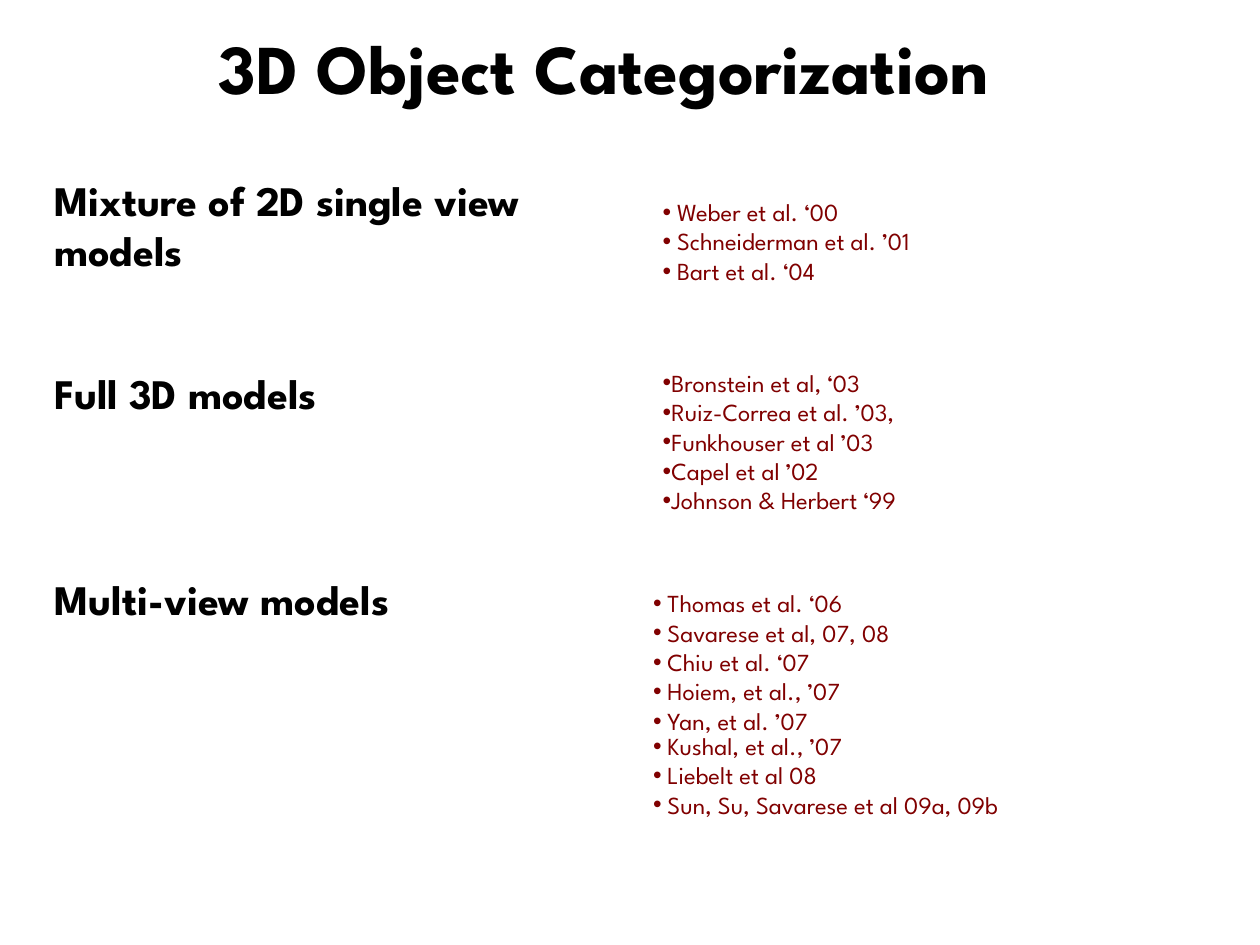
"""Build the 3D Object Categorization slide with its three groups of references."""
from lxml.etree import SubElement
from pptx import Presentation
from pptx.dml.color import RGBColor
from pptx.enum.text import MSO_ANCHOR, MSO_AUTO_SIZE, PP_ALIGN
from pptx.oxml.ns import qn
from pptx.util import Pt

FONT = "League Spartan"
BLACK = RGBColor(0x00, 0x00, 0x00)
MAROON = RGBColor(0x80, 0x00, 0x00)
WHITE = RGBColor(0xFF, 0xFF, 0xFF)


def place(shape, left, top, width, height, filled=True):
    shape.left, shape.top, shape.width, shape.height = map(Pt, (left, top, width, height))
    if filled:
        shape.fill.solid()
        shape.fill.fore_color.rgb = WHITE


def format_text(shape, size, color, bold, alignment=PP_ALIGN.LEFT):
    text_frame = shape.text_frame
    text_frame.word_wrap = True
    text_frame.auto_size = MSO_AUTO_SIZE.NONE
    text_frame.vertical_anchor = MSO_ANCHOR.TOP
    for paragraph in text_frame.paragraphs:
        paragraph.alignment = alignment
        paragraph.space_before = Pt(0)
        for run in paragraph.runs:
            run.font.name = FONT
            run.font.size = Pt(size)
            run.font.bold = bold
            run.font.color.rgb = color


presentation = Presentation()
presentation.slide_width = Pt(720)
presentation.slide_height = Pt(540)
slide = presentation.slides.add_slide(presentation.slide_layouts.get_by_name("Comparison"))

title = slide.shapes.title
title.text_frame.text = "3D Object Categorization"
place(title, 48, 10.5, 594, 55.5)
format_text(title, 40, BLACK, True, PP_ALIGN.CENTER)

headings = [
    ("Mixture of 2D single view models", 96, 330, 65),
    ("Full 3D models", 206.5, 240, 65),
    ("Multi-view models", 324, 240, 36),
]
for text, top, width, height in headings:
    heading = slide.shapes.add_textbox(0, 0, 0, 0)
    heading.text_frame.text = text
    place(heading, 24, top, width, height)
    format_text(heading, 24, BLACK, True)

reference_lists = [
    (371.5, 109, 181, 58, 8.2, True, [
        "Weber et al. ‘00", "Schneiderman et al. ’01", "Bart et al. ‘04",
    ]),
    (371.5, 206.5, 180, 91, 5, False, [
        "Bronstein et al, ‘03", "Ruiz-Correa et al. ’03,", "Funkhouser et al ’03",
        "Capel et al ’02", "Johnson & Herbert ‘99",
    ]),
    (366, 332.5, 222, 92, 8.2, True, [
        "Thomas et al. ‘06", "Savarese et al, 07, 08", "Chiu et al. ‘07",
        "Hoiem, et al., ’07", "Yan, et al. ’07",
    ]),
    (366, 414, 222, 75, 8.2, False, [
        "Kushal, et al., ’07", "Liebelt et al 08", "Sun, Su, Savarese et al 09a, 09b",
    ]),
]
bodies = [shape for shape in slide.placeholders if shape.placeholder_format.idx in (1, 2, 3, 4)]
for body, (left, top, width, height, indent, filled, references) in zip(bodies, reference_lists):
    body.text_frame.text = "\n".join(references)
    place(body, left, top, width, height, filled)
    for paragraph in body.text_frame.paragraphs:
        properties = paragraph._p.get_or_add_pPr()
        properties.set("marL", str(Pt(indent)))
        properties.set("indent", str(-Pt(indent)))
        SubElement(properties, qn("a:buChar")).set("char", "•")
    format_text(body, 14, MAROON, False)

presentation.save("out.pptx")
